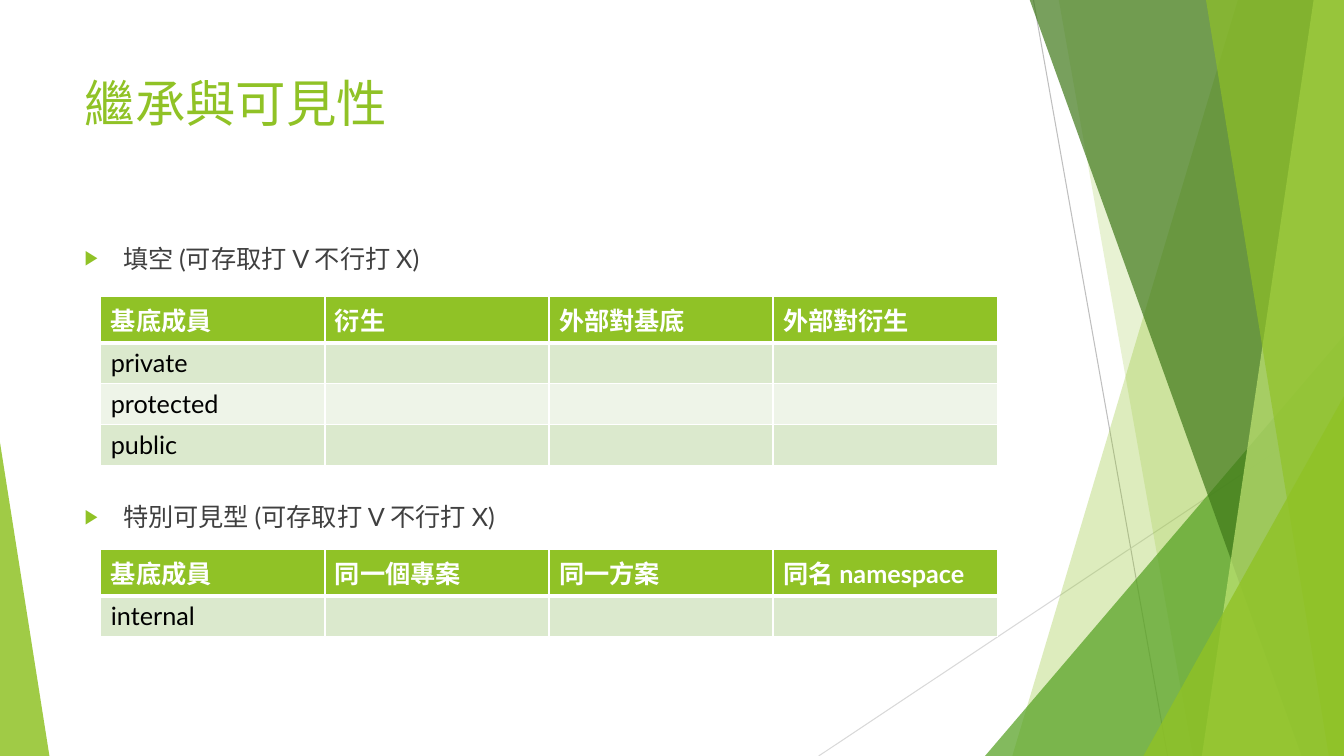
from dataclasses import dataclass
from typing import Any

import lxml.etree
import pptx
import pptx.dml.color
import pptx.enum.shapes
import pptx.enum.text
import pptx.oxml.ns
import pptx.util

EMU_PER_PX = 9144
SLIDE_WIDTH, SLIDE_HEIGHT = 1333, 750


@dataclass(frozen=True)
class Theme:
    font: str = "Lato"
    accent: str = "90C226"
    white: str = "FFFFFF"
    body_text: str = "404040"
    cell_text: str = "000000"
    bands: tuple[str, str] = ("DBE9CD", "EEF4E8")
    leaf: str = "54A021"
    forest: str = "3F7819"
    lime: str = "C0E474"
    title_size: int = 36
    text_size: int = 18


THEME = Theme()


@dataclass(frozen=True)
class Box:
    left: int
    top: int
    width: int
    height: int


@dataclass(frozen=True)
class Ray:
    start: tuple[int, int]
    end: tuple[int, int]
    color: str


@dataclass(frozen=True)
class Facet:
    top_left: int
    bottom_left: int
    bottom_right: int
    color: str
    opacity: int


@dataclass(frozen=True)
class Triangle:
    box: Box
    apex: int
    color: str
    opacity: int


@dataclass(frozen=True)
class Grid:
    box: Box
    headers: tuple[str, ...]
    members: tuple[str, ...]


DECORATIONS: tuple[Ray | Facet | Triangle, ...] = (
    Ray((1025, 0), (1158, 750), "BFBFBF"),
    Ray((1333, 403), (812, 750), "D9D9D9"),
    Facet(1228, 1004, SLIDE_WIDTH, THEME.accent, 30),
    Facet(1050, 1183, SLIDE_WIDTH, THEME.accent, 20),
    Triangle(Box(977, 333, 356, 417), 1, THEME.leaf, 72),
    Facet(1021, 1291, SLIDE_WIDTH, THEME.forest, 70),
    Facet(1303, 1192, SLIDE_WIDTH, THEME.lime, 70),
    Facet(1196, 1318, SLIDE_WIDTH, THEME.accent, 65),
    Triangle(Box(1134, 393, 199, 357), 1, THEME.accent, 80),
    Triangle(Box(0, 439, 49, 311), 0, THEME.accent, 85),
)

TITLE = "繼承與可見性"
TITLE_BOX = Box(74, 67, 940, 144)
BODY_BOX = Box(74, 236, 940, 424)
QUESTIONS = ("填空 (可存取打 V 不行打 X)", "特別可見型 (可存取打 V 不行打 X)")
QUESTION_GAP = 163
BULLET_INDENT = 38

GRIDS = (
    Grid(Box(100, 294, 889, 162), ("基底成員", "衍生", "外部對基底", "外部對衍生"),
         ("private", "protected", "public")),
    Grid(Box(100, 545, 889, 81), ("基底成員", "同一個專案", "同一方案", "同名 namespace"),
         ("internal",)),
)


def px(length: int) -> pptx.util.Emu:
    return pptx.util.Emu(length * EMU_PER_PX)


def rgb(color: str) -> pptx.dml.color.RGBColor:
    return pptx.dml.color.RGBColor.from_string(color)


def add_child(parent: Any, tag: str, **attributes: str) -> Any:
    return lxml.etree.SubElement(parent, pptx.oxml.ns.qn(tag), attributes)


def set_font(paragraph: Any, size: int, color: str, bold: bool = False) -> None:
    paragraph.font.name = THEME.font
    paragraph.font.size = pptx.util.Pt(size)
    paragraph.font.bold = bold
    paragraph.font.color.rgb = rgb(color)


def paint(shape: Any, color: str, opacity: int) -> None:
    shape.shadow.inherit = False
    shape.line.fill.background()
    shape.fill.solid()
    shape.fill.fore_color.rgb = rgb(color)
    color_element = next(shape.element.spPr.iter(pptx.oxml.ns.qn("a:srgbClr")))
    add_child(color_element, "a:alpha", val=str(opacity * 1000))


def draw_ray(slide: Any, ray: Ray) -> None:
    connector = slide.shapes.add_connector(
        pptx.enum.shapes.MSO_CONNECTOR.STRAIGHT, *map(px, ray.start + ray.end))
    connector.line.color.rgb = rgb(ray.color)
    connector.line.width = pptx.util.Pt(0.75)
    add_child(connector.element.spPr, "a:effectLst")


def draw_facet(slide: Any, facet: Facet) -> None:
    builder = slide.shapes.build_freeform(facet.top_left, -1, scale=EMU_PER_PX)
    builder.add_line_segments(
        [(SLIDE_WIDTH, -1), (facet.bottom_right, SLIDE_HEIGHT), (facet.bottom_left, SLIDE_HEIGHT)])
    paint(builder.convert_to_shape(), facet.color, facet.opacity)


def draw_triangle(slide: Any, triangle: Triangle) -> None:
    box = triangle.box
    shape = slide.shapes.add_shape(
        pptx.enum.shapes.MSO_SHAPE.ISOSCELES_TRIANGLE,
        px(box.left), px(box.top), px(box.width), px(box.height))
    shape.adjustments[0] = triangle.apex
    paint(shape, triangle.color, triangle.opacity)


def place(placeholder: Any, box: Box) -> None:
    placeholder.left, placeholder.top = px(box.left), px(box.top)
    placeholder.width, placeholder.height = px(box.width), px(box.height)
    frame = placeholder.text_frame
    frame.word_wrap = True
    frame.auto_size = pptx.enum.text.MSO_AUTO_SIZE.NONE
    frame.vertical_anchor = pptx.enum.text.MSO_ANCHOR.TOP
    placeholder.element.getparent().append(placeholder.element)


def fill_title(title: Any) -> None:
    place(title, TITLE_BOX)
    title.text_frame.text = TITLE
    paragraph = title.text_frame.paragraphs[0]
    paragraph.alignment = pptx.enum.text.PP_ALIGN.LEFT
    set_font(paragraph, THEME.title_size, THEME.accent)


def fill_body(body: Any) -> None:
    place(body, BODY_BOX)
    body.text_frame.text = "\n".join(QUESTIONS)
    for index, paragraph in enumerate(body.text_frame.paragraphs):
        properties = paragraph._p.get_or_add_pPr()
        properties.set("marL", str(px(BULLET_INDENT)))
        properties.set("indent", str(px(-BULLET_INDENT)))
        add_child(add_child(properties, "a:buClr"), "a:srgbClr", val=THEME.accent)
        add_child(properties, "a:buSzPct", val="80000")
        add_child(properties, "a:buChar", char="▶")
        paragraph.space_before = pptx.util.Pt(index * QUESTION_GAP)
        set_font(paragraph, THEME.text_size, THEME.body_text)


def set_borders(cell: Any, top: int, bottom: int) -> None:
    properties = cell._tc.get_or_add_tcPr()
    widths = {"a:lnL": 1, "a:lnR": 1, "a:lnT": top, "a:lnB": bottom}
    for tag, width in widths.items():
        border = add_child(properties, tag, w=str(pptx.util.Pt(width)))
        add_child(add_child(border, "a:solidFill"), "a:srgbClr", val=THEME.white)


def draw_grid(slide: Any, grid: Grid) -> None:
    box = grid.box
    blanks = ("",) * (len(grid.headers) - 1)
    rows = [grid.headers, *((member, *blanks) for member in grid.members)]
    table = slide.shapes.add_table(
        len(rows), len(grid.headers),
        px(box.left), px(box.top), px(box.width), px(box.height)).table
    for row_index, row in enumerate(rows):
        header = row_index == 0
        fill = THEME.accent if header else THEME.bands[(row_index - 1) % 2]
        for column_index, text in enumerate(row):
            cell = table.cell(row_index, column_index)
            set_borders(cell, 3 if row_index == 1 else 1, 3 if header else 1)
            cell.fill.solid()
            cell.fill.fore_color.rgb = rgb(fill)
            cell.text = text
            set_font(cell.text_frame.paragraphs[0], THEME.text_size,
                     THEME.white if header else THEME.cell_text, header)


def main() -> None:
    presentation = pptx.Presentation()
    presentation.slide_width, presentation.slide_height = px(SLIDE_WIDTH), px(SLIDE_HEIGHT)
    slide = presentation.slides.add_slide(presentation.slide_layouts[1])
    drawers = {Ray: draw_ray, Facet: draw_facet, Triangle: draw_triangle}
    for decoration in DECORATIONS:
        drawers[type(decoration)](slide, decoration)
    fill_title(slide.shapes.title)
    fill_body(slide.placeholders[1])
    for grid in GRIDS:
        draw_grid(slide, grid)
    presentation.save("out.pptx")


if __name__ == "__main__":
    main()
